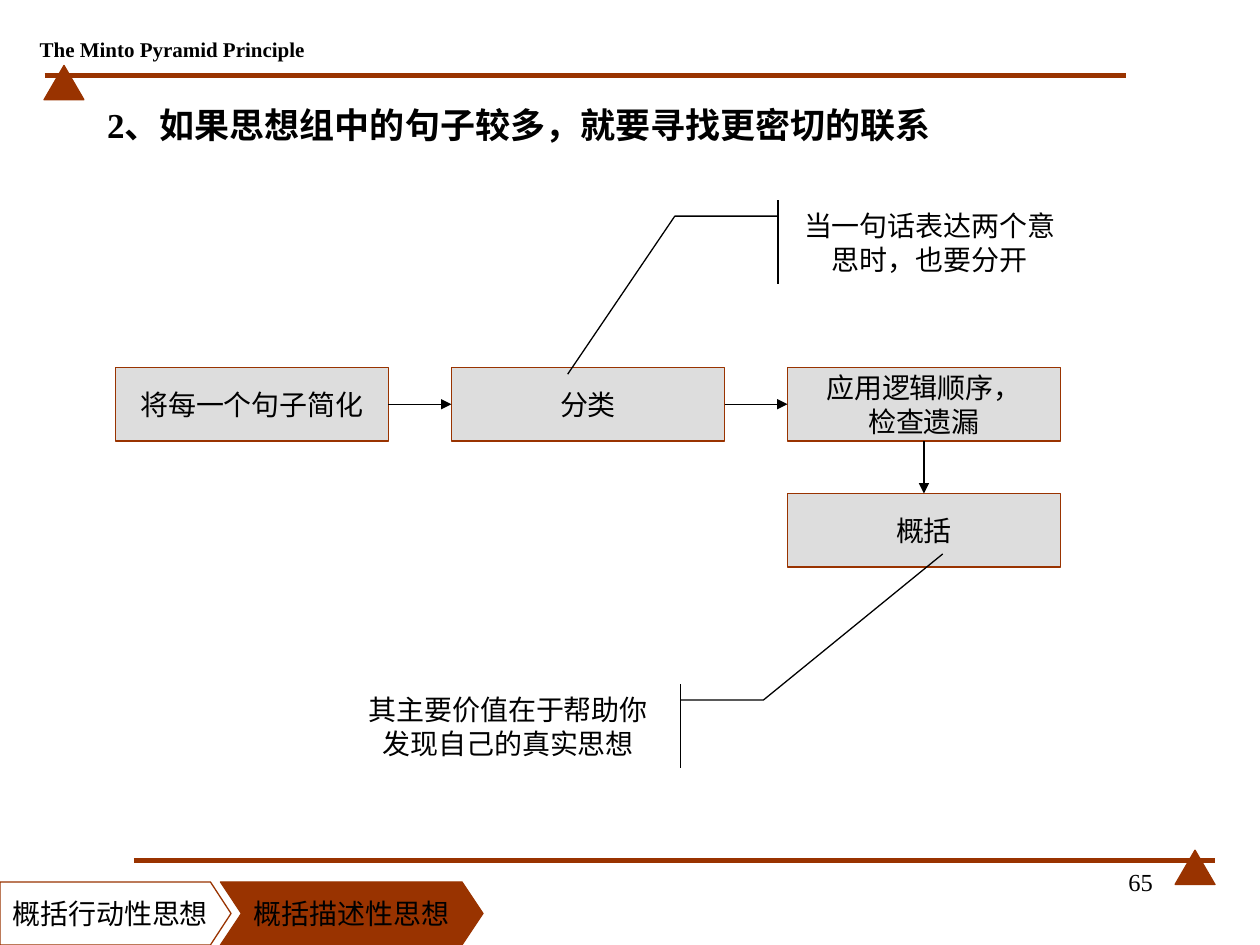
from lxml.etree import SubElement
from pptx import Presentation
from pptx.dml.color import RGBColor
from pptx.enum.shapes import MSO_CONNECTOR, MSO_SHAPE as SHAPE
from pptx.enum.text import MSO_ANCHOR as ANCHOR, MSO_AUTO_SIZE, PP_ALIGN as ALIGN
from pptx.oxml.ns import qn
from pptx.util import Pt

# Content
HEADER = "The Minto Pyramid Principle"
TITLE = "2、如果思想组中的句子较多，就要寻找更密切的联系"
PAGE = "65"
STEPS = ["将每一个句子简化", "分类", "应用逻辑顺序，\n检查遗漏"]
RESULT = "概括"
CALLOUTS = [  # text, position and size, leader points as (y, x) ratios
    ("当一句话表达两个意思时，也要分开", (450.5, 114.5, 161.5, 48),
     (0.188, -0.037, 0.188, -0.402, 2.07, -0.781)),
    ("其主要价值在于帮助你发现自己的真实思想", (198, 391, 185, 48),
     (0.188, 1.032, 0.188, 1.288, -1.552, 1.842)),
]
TABS = [  # text, shape, left, width, point depth, fill
    ("概括行动性思想", SHAPE.PENTAGON, 0, 132, 0.326, None),
    ("概括描述性思想", SHAPE.CHEVRON, 126, 150, 0.333, "993300"),
]
RUST, GREY, BLACK = "993300", "DDDDDD", "000000"
FONT = "Times New Roman"

# Step grid
LEFT, TOP, BOX_W, BOX_H = 66, 210, 156, 42
STEP_X, STEP_Y = 192, 72


def color(hex_code):
    return RGBColor.from_string(hex_code)


def write(sp, text, size=16, bold=False, align=ALIGN.CENTER,
          anchor=ANCHOR.MIDDLE, wrap=False):
    tf = sp.text_frame
    tf.text = text
    tf.word_wrap = wrap
    tf.auto_size = MSO_AUTO_SIZE.NONE
    tf.vertical_anchor = anchor
    for p in tf.paragraphs:
        p.alignment = align
        for r in p.runs:
            f = r.font
            f.name, f.size, f.bold = FONT, Pt(size), bold
            f.color.rgb = color(BLACK)


def add_box(s, kind, x, y, w, h, fill=None, line=RUST, adj=()):
    sp = s.shapes.add_shape(kind, Pt(x), Pt(y), Pt(w), Pt(h))
    sp.shadow.inherit = False
    if fill:
        sp.fill.solid()
        sp.fill.fore_color.rgb = color(fill)
    else:
        sp.fill.background()
    sp.line.color.rgb = color(line)
    sp.line.width = Pt(0.75)
    for i, value in enumerate(adj):
        sp.adjustments[i] = value
    return sp


def add_line(s, x1, y1, x2, y2, line=BLACK, width=0.75, arrow=False):
    c = s.shapes.add_connector(MSO_CONNECTOR.STRAIGHT, Pt(x1), Pt(y1), Pt(x2), Pt(y2))
    c.line.color.rgb = color(line)
    c.line.width = Pt(width)
    if arrow:
        SubElement(c.line._get_or_add_ln(), qn("a:tailEnd"), type="triangle")
    SubElement(c._element.spPr, qn("a:effectLst"))


def add_text(s, text, x, y, w, h, **fmt):
    write(s.shapes.add_textbox(Pt(x), Pt(y), Pt(w), Pt(h)), text, **fmt)


prs = Presentation()
prs.slide_width, prs.slide_height = Pt(720), Pt(540)
s = prs.slides.add_slide(prs.slide_layouts[5])

# Frame: a rule with a triangle above and below
for x, y, tri_x, tri_y in [(25.5, 43.2, 25.2, 37.4), (76.5, 491.6, 671.5, 485.8)]:
    add_line(s, x, y, x + 618, y, RUST, 3)
    add_box(s, SHAPE.ISOSCELES_TRIANGLE, tri_x, tri_y, 22.8, 19.6, RUST)
add_text(s, HEADER, 16.5, 18, 164, 20, size=12, bold=True)
add_text(s, PAGE, 516, 492, 150, 36, size=14, align=ALIGN.RIGHT,
         anchor=ANCHOR.TOP, wrap=True)

# Title
title = s.shapes.title
title.left, title.top, title.width, title.height = Pt(54), Pt(48), Pt(629), Pt(46)
write(title, TITLE, size=20, bold=True, align=ALIGN.LEFT, wrap=True)

# Section tabs
for text, kind, x, w, depth, fill in TABS:
    write(add_box(s, kind, x, 504, w, 36, fill, adj=[depth]), text)

# Steps in a row, with the result under the last one
last_x = LEFT + STEP_X * (len(STEPS) - 1)
boxes = [(text, LEFT + i * STEP_X, TOP) for i, text in enumerate(STEPS)]
for text, x, y in boxes + [(RESULT, last_x, TOP + STEP_Y)]:
    write(add_box(s, SHAPE.RECTANGLE, x, y, BOX_W, BOX_H, GREY), text)

# Arrows
mid_y = TOP + BOX_H / 2
for _, x, _ in boxes[1:]:
    add_line(s, x - STEP_X + BOX_W, mid_y, x, mid_y, arrow=True)
mid_x = last_x + BOX_W / 2
add_line(s, mid_x, TOP + BOX_H, mid_x, TOP + STEP_Y, arrow=True)

# Callouts
for text, place, adj in CALLOUTS:
    sp = add_box(s, SHAPE.LINE_CALLOUT_2_ACCENT_BAR, *place, line=BLACK, adj=adj)
    write(sp, text, wrap=True)

prs.save("out.pptx")
